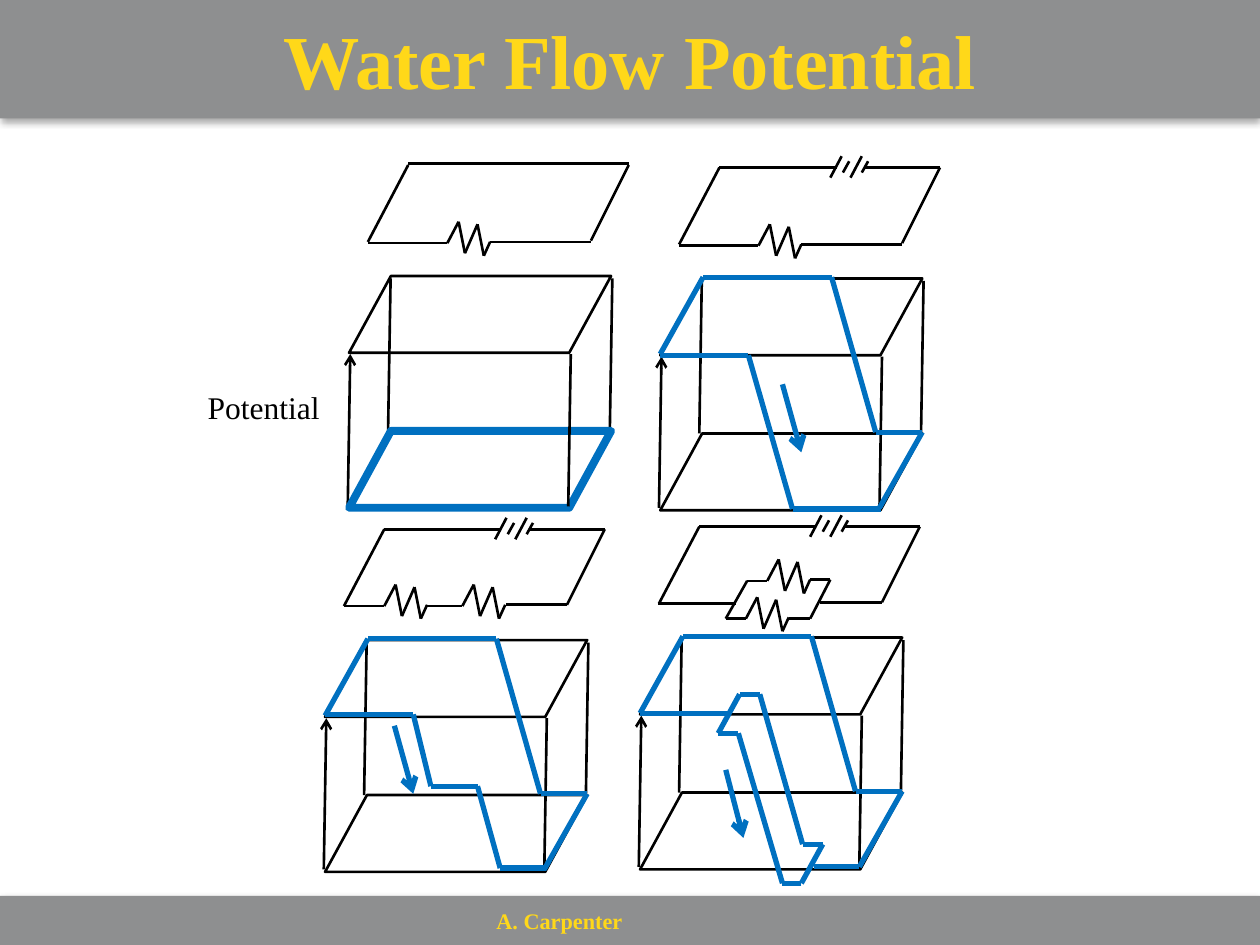
from dataclasses import dataclass
from itertools import pairwise

from lxml.etree import SubElement
from pptx import Presentation
from pptx.dml.color import RGBColor
from pptx.enum.shapes import MSO_CONNECTOR as CONN, MSO_SHAPE as SHAPE
from pptx.enum.text import MSO_ANCHOR as ANCHOR, MSO_AUTO_SIZE as AUTO, PP_ALIGN as ALIGN
from pptx.oxml.ns import qn
from pptx.util import Inches, Pt

COLS, ROWS = 1000, 750
GREY, GOLD, BLACK, BLUE = "8E8F90", "FFD819", "000000", "0070C0"
FONT = "Times New Roman"
THIN, THICK, HEAVY = 1.5, 3, 4.5

Point = tuple[int, int]
Line = list[Point]

ZIGZAG: Line = [(0, 0), (9, -17), (14, 8), (24, -15), (29, 10), (34, -1)]
BOX_EDGES: list[Line] = [[(207, 123), (209, 2)], [(31, 123), (33, 2)]]
FRONT_EDGE: Line = [(174, 183), (176, 62)]
BATTERY: list[Line] = [[(135, -80), (144, -97)], [(151, -80), (160, -97)],
                       [(145, -84), (150, -93)], [(160, -84), (165, -93)]]
WATER_RIM: Line = [(0, 60), (34, -1), (136, -1), (171, 122), (208, 122), (174, 182)]


@dataclass
class Panel:
    origin: Point
    resistors: list[Point]
    wires: list[Line]
    battery: bool = True
    falls: list[Line] | None = None
    flow: Line | None = None


PANELS = [
    Panel((277, 219), [(78, -26)], [[(15, -26), (78, -26)], [(112, -27), (192, -27)]],
          battery=False),
    Panel((524, 221), [(78, -26)], [[(15, -26), (78, -26)], [(112, -27), (192, -27)]],
          falls=[[(0, 61), (70, 61), (105, 183), (175, 183)]],
          flow=[(97, 84), (112, 138)]),
    Panel((258, 508), [(47, -27), (109, -27)],
          [[(15, -27), (47, -27)], [(81, -27), (109, -27)], [(144, -28), (192, -28)]],
          falls=[[(0, 59), (70, 59), (84, 116), (121, 116), (139, 181), (175, 181)]],
          flow=[(55, 68), (70, 122)]),
    Panel((508, 506), [(84, -15), (101, -45)],
          [[(14, -27), (76, -27)], [(143, -28), (192, -28)],
           [(84, -15), (68, -15), (85, -45), (101, -45)],
           [(118, -15), (135, -15), (151, -46), (135, -46)]],
          falls=[[(0, 60), (70, 60)], [(138, 182), (174, 182)],
                 [(62, 76), (79, 45), (95, 45), (129, 164), (145, 164),
                  (128, 195), (113, 195), (78, 76), (62, 76)]],
          flow=[(68, 105), (82, 159)]),
]

prs = Presentation()
prs.slide_width, prs.slide_height = Inches(10), Inches(7.5)


def col(n: float) -> int:
    return round(prs.slide_width * n / COLS)


def row(n: float) -> int:
    return round(prs.slide_height * n / ROWS)


def rgb(colour: str) -> RGBColor:
    return RGBColor.from_string(colour)


def place(sp, x: float, y: float, w: float, h: float) -> None:
    sp.left, sp.top, sp.width, sp.height = col(x), row(y), col(w), row(h)


def paint_bar(sp) -> None:
    sp.fill.solid()
    sp.fill.fore_color.rgb = rgb(GREY)
    sp.line.fill.background()
    sp.shadow.inherit = False
    effects = sp.element.spPr.find(qn("a:effectLst"))
    shadow = SubElement(effects, qn("a:outerShdw"), blurRad=str(Pt(4)), dist=str(Pt(2)),
                        dir="5400000", rotWithShape="0")
    clr = SubElement(shadow, qn("a:srgbClr"), val=BLACK)
    SubElement(clr, qn("a:alpha"), val="35000")


def write(sp, text: str, size: float, colour: str, bold: bool, inset: float,
          align=ALIGN.LEFT, anchor=ANCHOR.MIDDLE) -> None:
    tf = sp.text_frame
    tf.text, tf.word_wrap, tf.auto_size = text, True, AUTO.NONE
    tf.vertical_anchor = anchor
    tf.margin_left = tf.margin_right = col(inset)
    tf.margin_top = tf.margin_bottom = row(5)
    p = tf.paragraphs[0]
    p.alignment = align
    p.font.name, p.font.size, p.font.bold = FONT, Pt(size), bold
    p.font.color.rgb = rgb(colour)


def draw_line(shapes, origin: Point, points: Line, colour: str = BLACK,
              width: float = THIN, arrow: bool = False) -> None:
    ox, oy = origin
    for (x1, y1), (x2, y2) in pairwise(points):
        c = shapes.add_connector(CONN.STRAIGHT, col(ox + x1), row(oy + y1),
                                 col(ox + x2), row(oy + y2))
        c.line.color.rgb, c.line.width = rgb(colour), Pt(width)
        if arrow:
            SubElement(c.line._get_or_add_ln(), qn("a:tailEnd"), type="arrow")
        SubElement(c.element.spPr, qn("a:effectLst"))


def draw_face(shapes, origin: Point, drop: int, colour: str = BLACK,
              width: float = THIN) -> None:
    sp = shapes.add_shape(SHAPE.PARALLELOGRAM, 0, 0, 0, 0)
    place(sp, origin[0], origin[1] + drop, 208, 61)
    sp.adjustments[0] = 0.545
    sp.fill.background()
    sp.line.color.rgb, sp.line.width = rgb(colour), Pt(width)
    sp.shadow.inherit = False


def draw_box(shapes, panel: Panel) -> None:
    o = panel.origin
    draw_line(shapes, o, [(-1, 182), (1, 62)], arrow=True)
    for edge in BOX_EDGES:
        draw_line(shapes, o, edge)
    draw_face(shapes, o, 0)
    draw_face(shapes, o, 123)
    if not panel.falls:
        draw_face(shapes, o, 123, BLUE, HEAVY)
    draw_line(shapes, o, FRONT_EDGE)


def draw_circuit(shapes, panel: Panel) -> None:
    if panel.battery:
        top = [[(47, -88), (140, -88)], [(162, -88), (222, -88)], *BATTERY]
    else:
        top = [[(47, -89), (222, -89)]]
    sides = [[(15, -27), (47, -88)], [(192, -28), (222, -88)]]
    zigzags = [[(x + dx, y + dy) for dx, dy in ZIGZAG] for x, y in panel.resistors]
    for line in sides + top + panel.wires + zigzags:
        draw_line(shapes, panel.origin, line)


def draw_panel(slide, panel: Panel) -> None:
    shapes = slide.shapes.add_group_shape().shapes
    draw_box(shapes, panel)
    draw_circuit(shapes, panel)
    if panel.falls:
        for line in [WATER_RIM, *panel.falls]:
            draw_line(shapes, panel.origin, line, BLUE, THICK)
        draw_line(shapes, panel.origin, panel.flow, BLUE, THICK, arrow=True)


def main() -> None:
    s = prs.slides.add_slide(prs.slide_layouts[5])
    title = s.shapes.title
    place(title, 0, 0, COLS, 94)
    paint_bar(title)
    write(title, "Water Flow Potential", 43.6, GOLD, True, 7, ALIGN.CENTER)

    footer = s.shapes.add_shape(SHAPE.RECTANGLE, 0, 0, 0, 0)
    place(footer, 0, 711, COLS, 39)
    paint_bar(footer)
    author = s.shapes.add_textbox(0, 0, 0, 0)
    place(author, 389, 715, 223, 31)
    write(author, "A. Carpenter", 12.7, GOLD, True, 5)

    for panel in PANELS:
        draw_panel(s, panel)
    label = s.shapes.add_textbox(0, 0, 0, 0)
    place(label, 155, 303, 130, 48)
    write(label, "Potential", 18, BLACK, False, 10, anchor=ANCHOR.TOP)

    prs.save("out.pptx")


if __name__ == "__main__":
    main()
